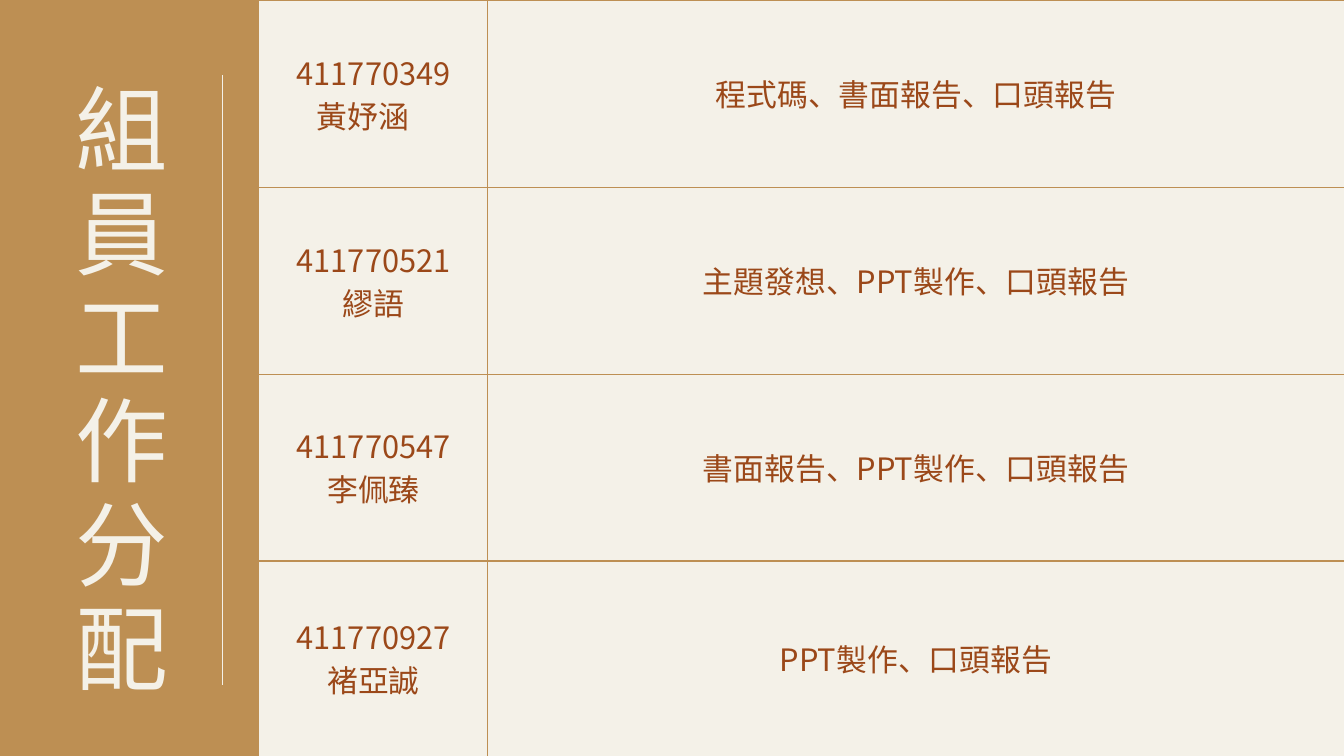
from dataclasses import dataclass

from lxml.etree import SubElement
from pptx import Presentation
from pptx.dml.color import RGBColor
from pptx.enum.shapes import MSO_CONNECTOR
from pptx.enum.text import MSO_ANCHOR, MSO_AUTO_SIZE, PP_ALIGN
from pptx.oxml.ns import qn
from pptx.util import Cm, Pt

TITLE = "組員工作分配"

# student number, name, tasks, space kept to the right of the name (cm)
MEMBERS = [
    ("411770349", "黃妤涵", "程式碼、書面報告、口頭報告", 0.8),
    ("411770521", "繆語", "主題發想、PPT製作、口頭報告", 0),
    ("411770547", "李佩臻", "書面報告、PPT製作、口頭報告", 0),
    ("411770927", "褚亞誠", "PPT製作、口頭報告", 0),
]

SLIDE_WIDTH, SLIDE_HEIGHT = 50.8, 28.58
TABLE_LEFT, TABLE_TOP = 9.8, 0.03
MEMBER_WIDTH, ROW_HEIGHT = 8.64, 7.06
CELL_MARGIN = 0.53


@dataclass(frozen=True)
class Theme:
    ochre: str = "BD8F53"
    cream: str = "F4F1E8"
    rust: str = "9B4819"
    font: str = "Noto Sans CJK SC"
    title_size: float = 99.2
    title_spacing: float = 111.2
    body_size: float = 33
    body_spacing: float = 46.2
    line_width: float = 1.5


theme = Theme()


def color(value):
    return RGBColor.from_string(value)


def add_span(para, text, size, ink, spacing):
    para.line_spacing = Pt(spacing)
    para.space_before = Pt(0)
    span = para.add_run()
    span.text = text
    span.font.size = Pt(size)
    span.font.bold = False
    span.font.name = theme.font
    span.font.color.rgb = color(ink)
    SubElement(span.font._element, qn("a:ea"), typeface=theme.font)


def add_border(cell, side, width):
    properties = cell._tc.get_or_add_tcPr()
    line = SubElement(properties, qn(f"a:{side}"), w=str(Pt(width)))
    fill = SubElement(line, qn("a:solidFill"))
    SubElement(fill, qn("a:srgbClr"), val=theme.ochre)


def fill_cell(cell, lines, outer_sides):
    """Write the (text, right indent) lines; outer sides get no border width."""
    for side in ("lnL", "lnR", "lnT", "lnB"):
        add_border(cell, side, 0 if side in outer_sides else theme.line_width)
    cell.fill.solid()
    cell.fill.fore_color.rgb = color(theme.cream)
    cell.vertical_anchor = MSO_ANCHOR.MIDDLE
    cell.margin_left = cell.margin_right = Cm(CELL_MARGIN)
    cell.margin_top = cell.margin_bottom = Cm(CELL_MARGIN)
    frame = cell.text_frame
    for index, (text, indent) in enumerate(lines):
        para = frame.add_paragraph() if index else frame.paragraphs[0]
        para.alignment = PP_ALIGN.CENTER
        if indent:
            para._p.get_or_add_pPr().set("marR", str(Cm(indent)))
        add_span(para, text, theme.body_size, theme.rust, theme.body_spacing)


def add_member_table(page):
    width, height = SLIDE_WIDTH - TABLE_LEFT, SLIDE_HEIGHT - TABLE_TOP
    last = len(MEMBERS) - 1
    table = page.shapes.add_table(
        len(MEMBERS), 2, Cm(TABLE_LEFT), Cm(TABLE_TOP), Cm(width), Cm(height)
    ).table
    table.first_row = table.horz_banding = False
    table.columns[0].width = Cm(MEMBER_WIDTH)
    table.columns[1].width = Cm(width - MEMBER_WIDTH)
    for row, (number, name, tasks, indent) in enumerate(MEMBERS):
        table.rows[row].height = Cm(ROW_HEIGHT if row < last else height - last * ROW_HEIGHT)
        ends = {0: ["lnT"], last: ["lnB"]}.get(row, [])
        fill_cell(table.cell(row, 0), [(number, 0), (name, indent)], ["lnL"] + ends)
        fill_cell(table.cell(row, 1), [(tasks, 0)], ["lnR"] + ends)


def add_title(page):
    """Set the title in a box one character wide, so that it runs downwards."""
    box = page.shapes.title
    box.left, box.top, box.width, box.height = Cm(2.84), Cm(3), Cm(4.2), Cm(23.72)
    frame = box.text_frame
    frame.word_wrap = True
    frame.auto_size = MSO_AUTO_SIZE.NONE
    frame.vertical_anchor = MSO_ANCHOR.TOP
    frame.margin_left = frame.margin_right = frame.margin_top = frame.margin_bottom = 0
    para = frame.paragraphs[0]
    para.alignment = PP_ALIGN.LEFT
    add_span(para, TITLE, theme.title_size, theme.cream, theme.title_spacing)


def add_title_rule(page):
    rule = page.shapes.add_connector(
        MSO_CONNECTOR.STRAIGHT, Cm(8.41), Cm(25.88), Cm(8.41), Cm(2.84)
    )
    rule.line.color.rgb = color(theme.cream)
    rule.line.width = Pt(theme.line_width)
    SubElement(rule._element.spPr, qn("a:effectLst"))


def main():
    deck = Presentation()
    deck.slide_width, deck.slide_height = Cm(SLIDE_WIDTH), Cm(SLIDE_HEIGHT)
    page = deck.slides.add_slide(deck.slide_layouts[5])
    page.background.fill.solid()
    page.background.fill.fore_color.rgb = color(theme.ochre)
    add_member_table(page)
    add_title(page)
    add_title_rule(page)
    deck.save("out.pptx")


if __name__ == "__main__":
    main()
